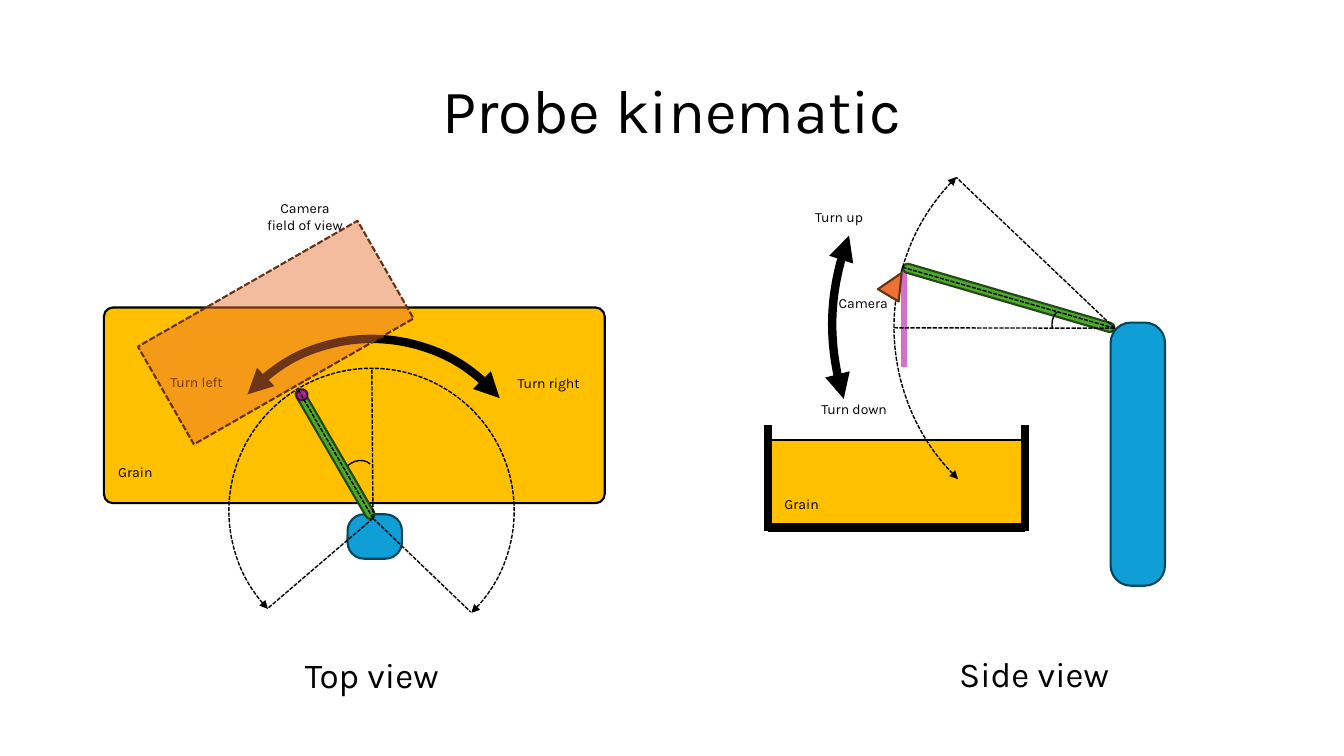
from pptx import Presentation, util as u
from pptx.dml.color import RGBColor
from pptx.enum import dml, shapes, text
from pptx.oxml.ns import qn
from lxml import etree

Cm, Pt = u.Cm, u.Pt
KIND = shapes.MSO_SHAPE
FONT = "Karla"
BLACK, GRAIN = "000000", "FFC000"
BLUE, DARK_BLUE = "0F9ED5", "07455D"
GREEN, DARK_GREEN = "4EA72E", "224914"
ORANGE, BROWN = "E97132", "663216"
PURPLE, DARK_PURPLE, PINK = "A02B93", "461340", "D86ECC"


def rgb(value):
    return RGBColor.from_string(value)


def style_line(line, color, width, dashed=False):
    line.color.rgb = rgb(color)
    line.width = Pt(width)
    if dashed:
        line.dash_style = dml.MSO_LINE.SQUARE_DOT


class Region:
    """Draws parts at centimetre offsets from a box's top left corner."""

    def __init__(self, slide, left, top):
        self.shapes, self.left, self.top = slide.shapes, left, top

    def place(self, x, y):
        return Cm(self.left + x), Cm(self.top + y)

    def shape(self, kind, x, y, w, h, fill, line, width=1.5, rot=0,
              adj=(), dashed=False):
        sp = self.shapes.add_shape(kind, *self.place(x, y), Cm(w), Cm(h))
        sp.shadow.inherit = False
        sp.rotation = rot
        for i, value in enumerate(adj):
            sp.adjustments[i] = value
        if fill:
            sp.fill.solid()
            sp.fill.fore_color.rgb = rgb(fill)
        else:
            sp.fill.background()
        style_line(sp.line, line, width, dashed)
        return sp

    def arc(self, x, y, w, h, rot, start, end, width=1, dashed=False, arrows=True):
        # Start and end are adjustment values: 0.6 of them make one degree
        sp = self.shape(KIND.ARC, x, y, w, h, None, BLACK, width, rot,
                        (start, end), dashed)
        if arrows:
            ln = sp.line._get_or_add_ln()
            for tag in ("a:headEnd", "a:tailEnd"):
                etree.SubElement(ln, qn(tag), type="triangle")

    def line(self, start, end, color=BLACK, width=1, dashed=False):
        cx = self.shapes.add_connector(shapes.MSO_CONNECTOR.STRAIGHT,
                                       *self.place(*start), *self.place(*end))
        style_line(cx.line, color, width, dashed)
        etree.SubElement(cx._element.spPr, qn("a:effectLst"))

    def rays(self, pivot, ends):
        for end in ends:
            self.line(pivot, end, dashed=True)

    def label(self, words, x, y, w=2.41, h=0.69, size=10):
        tf = self.shapes.add_textbox(*self.place(x, y), Cm(w), Cm(h)).text_frame
        tf.word_wrap = True
        tf.margin_left = tf.margin_right = Cm(0.2)
        p = tf.paragraphs[0]
        p.text = words
        p.alignment = text.PP_ALIGN.CENTER
        p.font.name, p.font.size = FONT, Pt(size)
        p.font.color.rgb = rgb(BLACK)
        return tf


def add_title(slide, left, top):
    tf = Region(slide, left, top).label("Probe kinematic", 0, 0, 29.21, 3.68, 44)
    tf.vertical_anchor = text.MSO_ANCHOR.MIDDLE
    tf.paragraphs[0].line_spacing = 0.9


def add_top_view(slide, left, top):
    view = Region(slide, left, top)
    # Grain bed
    view.shape(KIND.ROUNDED_RECTANGLE, 0.08, 2.92, 12.62, 4.93, GRAIN, BLACK,
               adj=[0.046])
    view.label("Grain", -0.64, 6.73, 3.02)
    # Reach of the probe and its angle
    view.arc(3.23, 4.45, 7.19, 7.19, 315, 108.97, 54.37, dashed=True)
    view.arc(6.02, 6.81, 0.91, 0.76, 315.9, 152.2, 214.91, arrows=False)
    # Base, arm and camera
    view.shape(KIND.ROUNDED_RECTANGLE, 6.22, 8.13, 1.37, 1.12, BLUE, DARK_BLUE,
               adj=[0.372])
    view.shape(KIND.ROUNDED_RECTANGLE, 4.04, 6.5, 3.73, 0.23, GREEN, DARK_GREEN,
               rot=239.8, adj=[0.5])
    view.shape(KIND.OVAL, 4.93, 4.98, 0.28, 0.28, PURPLE, DARK_PURPLE, rot=41.1)
    view.rays((6.86, 8.23), [(4.95, 4.95), (6.83, 4.47), (4.22, 10.49), (9.32, 10.59)])
    # Turning directions
    view.arc(2.62, 3.71, 8.43, 8.43, 315.9, 159.61, 2.31, width=6)
    view.label("Turn left", 1.12, 4.45, 2.59)
    view.label("Turn right", 10.08, 4.47)
    # Translucent field of view
    field = view.shape(KIND.RECTANGLE, 1.22, 2.13, 6.38, 2.84, ORANGE, BROWN,
                       rot=330.2, dashed=True)
    color = field._element.spPr.find(qn("a:solidFill"))[0]
    etree.SubElement(color, qn("a:alpha"), val="47000")
    view.label("Camera field of view", 3.94, 0.08, h=1.12)
    view.label("Top view", 4.57, 11.51, 4.52, 1.32, 25)


def add_side_view(slide, left, top):
    view = Region(slide, left, top)
    # Viewing line, column and arm
    view.line((4.24, 2.41), (4.24, 4.93), PINK, 4.5)
    view.shape(KIND.ROUNDED_RECTANGLE, 9.45, 3.81, 1.37, 6.63, BLUE, DARK_BLUE,
               adj=[0.372])
    view.shape(KIND.ROUNDED_RECTANGLE, 4.11, 3.07, 5.54, 0.23, GREEN, DARK_GREEN,
               rot=196.3, adj=[0.5])
    # Grain container
    near, far, floor = 0.81, 7.29, 8.97
    view.shape(KIND.ROUNDED_RECTANGLE, near, 6.76, far - near, 2.13, GRAIN, BLACK,
               adj=[0])
    for wall in (far, near):
        view.line((wall, 6.4), (wall, 9.07), width=6)
    view.line((near, floor), (far, floor), width=6)
    view.label("Grain", 0.15, 8.05, 3.02)
    # Reach of the probe and its angle
    view.arc(3.99, -1.42, 10.69, 10.69, 225, 161.56, 0.04, dashed=True)
    view.rays((9.55, 3.95), [(3.96, 3.94), (4.19, 2.41), (5.56, 0.15)])
    view.arc(7.9, 3.51, 0.91, 0.76, 256.7, 164.55, 201.21, arrows=False)
    # Turning directions
    view.arc(2.44, -2.41, 12.55, 12.55, 225.9, 178.09, 201.06, width=6)
    view.label("Turn up", 1.4, 0.81)
    view.label("Turn down", 1.78, 5.64)
    # Camera
    view.shape(KIND.FLOWCHART_EXTRACT, 3.71, 2.51, 0.61, 0.66, ORANGE, BROWN, rot=30.9)
    view.label("Camera", 2.01, 2.97)
    view.label("Side view", 5.26, 12.01, 4.52, 1.32, 25)


def main():
    prs = Presentation()
    prs.slide_width, prs.slide_height = Cm(33.87), Cm(19.05)
    slide = prs.slides.add_slide(prs.slide_layouts[6])
    add_top_view(slide, 2.54, 4.83)
    add_title(slide, 2.34, 1.02)
    add_side_view(slide, 18.54, 4.32)
    prs.save("out.pptx")


if __name__ == "__main__":
    main()
